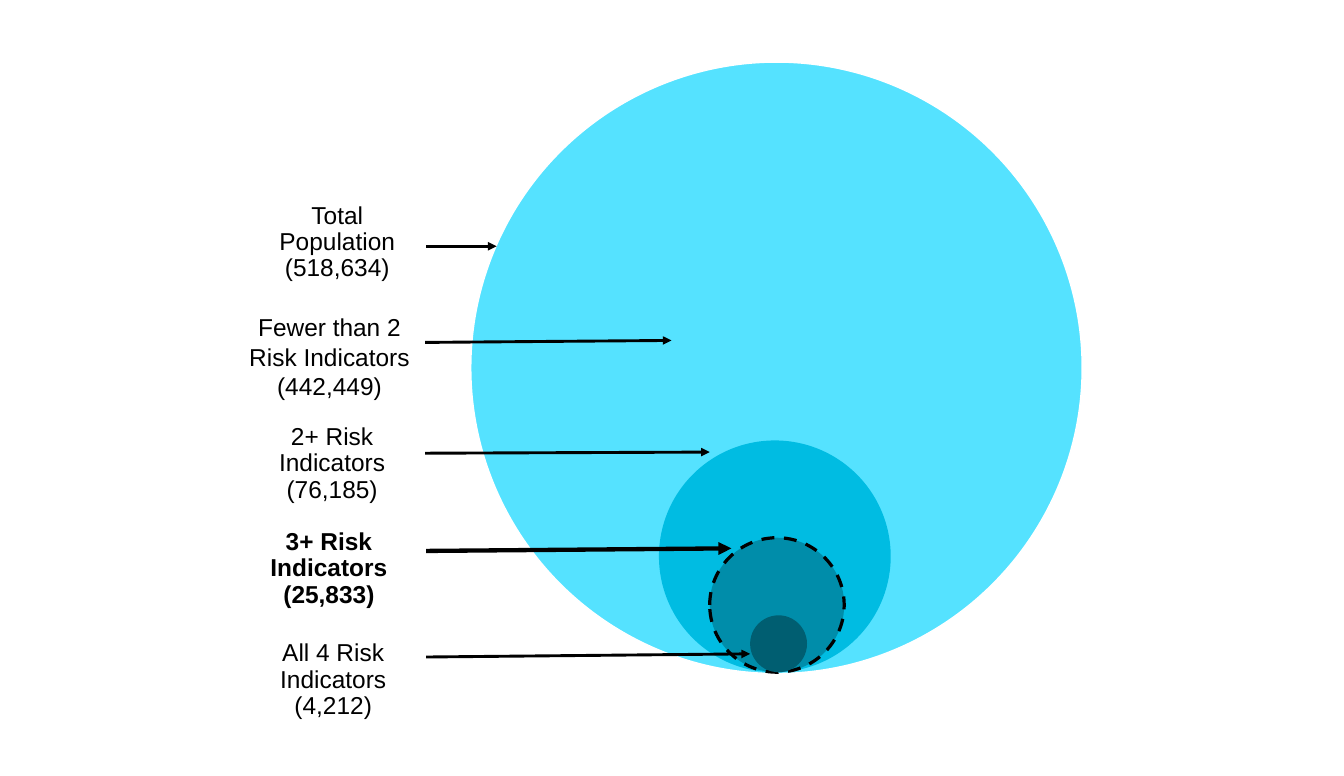
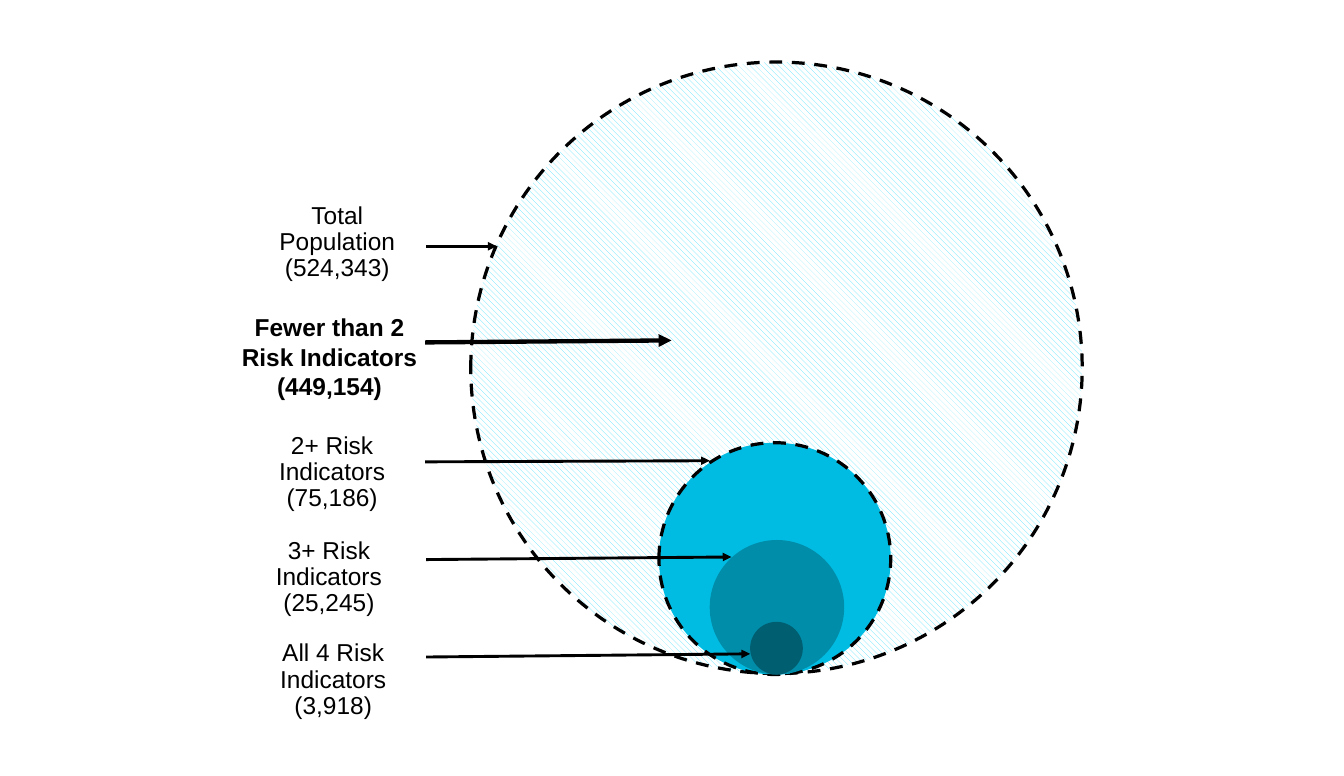
from dataclasses import dataclass

from lxml import etree
from pptx import Presentation
from pptx.dml.color import RGBColor
from pptx.enum.dml import MSO_LINE, MSO_PATTERN
from pptx.enum.shapes import MSO_CONNECTOR, MSO_SHAPE
from pptx.enum.text import MSO_ANCHOR, PP_ALIGN
from pptx.oxml.ns import qn
from pptx.slide import Slide
from pptx.util import Pt

DASH = MSO_LINE.DASH
HATCH = MSO_PATTERN.WIDE_DOWNWARD_DIAGONAL
OVAL = MSO_SHAPE.OVAL
STRAIGHT = MSO_CONNECTOR.STRAIGHT
TOP, MIDDLE = MSO_ANCHOR.TOP, MSO_ANCHOR.MIDDLE
CENTER = PP_ALIGN.CENTER

COLORS = {
    "total": "55E2FF",
    "two_plus": "00BCE2",
    "three_plus": "008DAA",
    "all_four": "005E71",
    "ink": "000000",
    "paper": "FFFFFF",
}
FONT = "Arial"
TOTAL_TOP = 43.2
TOTAL_DIAMETER = 425.5


@dataclass(frozen=True)
class Outline:
    color: str
    width: float
    dashed: bool = False


DASHED = Outline("ink", 2.25, dashed=True)


@dataclass(frozen=True)
class Group:
    """A label beside the circles, with the arrow that leads from it."""
    key: str
    name: str
    box: tuple[float, float, float, float]
    arrow: tuple[float, float, float, float]
    inset: tuple[float, float] = (9.4, 9.4)
    anchor: MSO_ANCHOR = MIDDLE
    spacing: float = 0.9


@dataclass(frozen=True)
class Population:
    """What one slide shows: the counts and what is emphasised."""
    counts: dict[str, str]
    focus: str
    outlines: dict[str, Outline]
    baseline: float
    all_four_diameter: float
    shift: float = 0
    hatched: bool = False


GROUPS = [
    Group("total", "Total Population", (175, 136.8, 119.5, 64.1),
          (296.6, 171.4, 345.6, 171.4), inset=(10.8, 10.8)),
    Group("fewer", "Fewer than 2 Risk Indicators", (155.5, 213.8, 147.6, 55.4),
          (295.9, 238.3, 467.3, 236.9), inset=(7.2, 3.6), anchor=TOP, spacing=1.0),
    Group("two_plus", "2+ Risk Indicators", (171.4, 292.3, 119.5, 61.2),
          (295.9, 315.4, 493.9, 314.6)),
    Group("three_plus", "3+ Risk Indicators", (169.2, 367.2, 119.5, 57.6),
          (296.6, 383.4, 509, 381.6)),
    Group("all_four", "All 4 Risk Indicators", (171.4, 430.6, 121, 85.7),
          (296.6, 457.2, 522, 455)),
]
SHIFTED = ("two_plus", "three_plus")

POPULATIONS = [
    Population(
        counts={"total": "518,634", "fewer": "442,449", "two_plus": "76,185",
                "three_plus": "25,833", "all_four": "4,212"},
        focus="three_plus",
        outlines={"total": Outline("paper", 1), "three_plus": DASHED},
        baseline=467.8, all_four_diameter=39.6),
    Population(
        counts={"total": "524,343", "fewer": "449,154", "two_plus": "75,186",
                "three_plus": "25,245", "all_four": "3,918"},
        focus="fewer",
        outlines={"total": DASHED, "two_plus": DASHED},
        baseline=469.4, all_four_diameter=36.7, shift=6, hatched=True),
]


def rgb(name: str) -> RGBColor:
    return RGBColor.from_string(COLORS[name])


def add_circle(slide: Slide, left: float, top: float, diameter: float, color: str,
               outline: Outline | None, hatched: bool = False) -> None:
    circle = slide.shapes.add_shape(OVAL, Pt(left), Pt(top), Pt(diameter), Pt(diameter))
    circle.shadow.inherit = False
    if hatched:
        circle.fill.patterned()
        circle.fill.pattern = HATCH
        circle.fill.fore_color.rgb = rgb(color)
        circle.fill.back_color.rgb = rgb("paper")
    else:
        circle.fill.solid()
        circle.fill.fore_color.rgb = rgb(color)
    if outline is None:
        circle.line.fill.background()
        return
    circle.line.color.rgb = rgb(outline.color)
    circle.line.width = Pt(outline.width)
    if outline.dashed:
        circle.line.dash_style = DASH


def add_arrow(slide: Slide, ends: tuple[float, ...], width: float) -> None:
    arrow = slide.shapes.add_connector(STRAIGHT, *(Pt(value) for value in ends))
    arrow.line.color.rgb = rgb("ink")
    arrow.line.width = Pt(width)
    properties = arrow.line._get_or_add_ln()
    etree.SubElement(properties, qn("a:tailEnd"), type="triangle")
    etree.SubElement(arrow._element.spPr, qn("a:effectLst"))


def add_text(slide: Slide, lines: list[str], box: tuple[float, ...], *,
             inset: tuple[float, float], anchor: MSO_ANCHOR, spacing: float,
             bold: bool = False, size: float = 17, color: str = "ink") -> None:
    frame = slide.shapes.add_textbox(*(Pt(value) for value in box)).text_frame
    frame.word_wrap = True
    frame.vertical_anchor = anchor
    frame.margin_left = frame.margin_right = Pt(inset[0])
    frame.margin_top = frame.margin_bottom = Pt(inset[1])
    frame.text = "\n".join(lines)
    for paragraph in frame.paragraphs:
        paragraph.alignment = CENTER
        paragraph.line_spacing = spacing
        for run in paragraph.runs:
            run.font.name = FONT
            run.font.size = Pt(size)
            run.font.bold = bold
            run.font.color.rgb = rgb(color)


def draw_circles(slide: Slide, population: Population) -> None:
    # The whole population
    add_circle(slide, 327.6, TOTAL_TOP, TOTAL_DIAMETER, "total",
               population.outlines.get("total"), population.hatched)
    # Nested subgroups rest on one baseline
    subgroups = [("two_plus", 458.6, 161.3), ("three_plus", 493.9, 93.6),
                 ("all_four", 522, population.all_four_diameter)]
    for key, left, diameter in subgroups:
        add_circle(slide, left, population.baseline - diameter, diameter, key,
                   population.outlines.get(key))


def draw_labels(slide: Slide, population: Population) -> None:
    for group in GROUPS:
        focused = group.key == population.focus
        shift = population.shift if group.key in SHIFTED else 0
        x1, y1, x2, y2 = group.arrow
        add_arrow(slide, (x1, y1 + shift, x2, y2 + shift), 3 if focused else 2)
        left, top, width, height = group.box
        add_text(slide, [group.name, f"({population.counts[group.key]})"],
                 (left, top + shift, width, height), inset=group.inset,
                 anchor=group.anchor, spacing=group.spacing, bold=focused)


def main() -> None:
    deck = Presentation()
    deck.slide_width, deck.slide_height = Pt(935.28), Pt(540)
    blank = deck.slide_layouts[6]
    for population in POPULATIONS:
        slide = deck.slides.add_slide(blank)
        draw_circles(slide, population)
        draw_labels(slide, population)
    deck.save("out.pptx")


if __name__ == "__main__":
    main()
